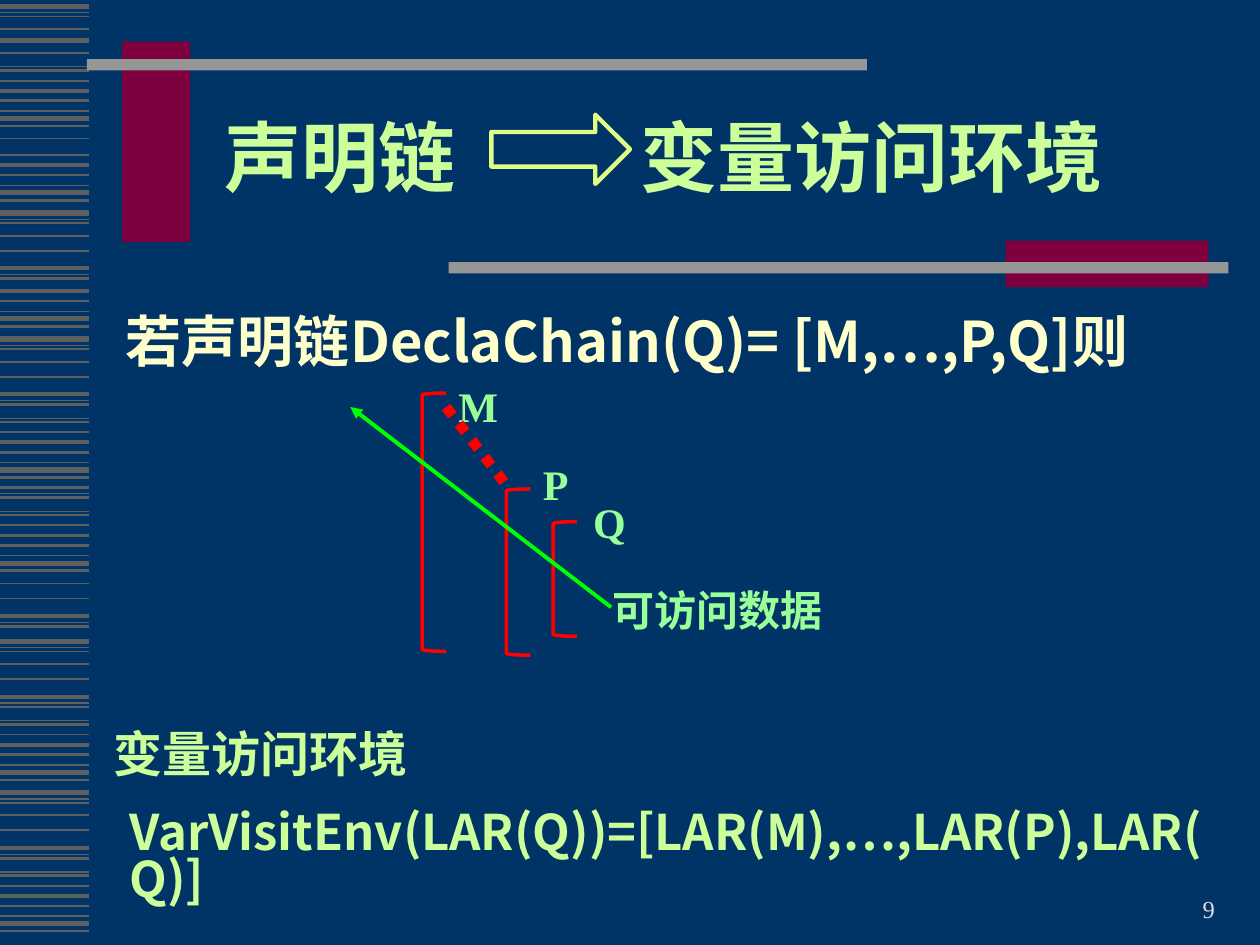
from dataclasses import dataclass

from lxml import etree
from pptx import Presentation
from pptx import util as u
from pptx.dml.color import RGBColor
from pptx.enum import dml, shapes, text
from pptx.oxml.ns import qn


@dataclass(frozen=True)
class Theme:
    background: str = "003366"
    stripe: str = "5F5F5F"
    block: str = "7E003F"
    bar: str = "969696"
    heading: str = "CCFF99"
    body: str = "FFFFCC"
    label: str = "99FF99"
    outline: str = "E0FF85"
    bracket: str = "FF0000"
    pointer: str = "00FF00"
    number: str = "DDDDDD"
    serif: str = "Times New Roman"
    sans: str = "Noto Sans CJK SC"
    title_size: int = 44
    body_size: int = 32
    result_size: int = 28
    label_size: int = 24
    number_size: int = 14


STRIPES = [
    (4.3, 1.5), (0, 3), (-4.3, 0.75), (-10.1, 1.5),
    (-15.8, 2.25), (-21.6, 1), (-27.4, 1.5), (-29.5, 0.75),
    (-37.4, 1.5), (-39.6, 0.75), (-43.2, 2.25), (-53.3, 1),
    (-61.9, 1), (-69.1, 1), (-71.3, 0.75), (-74.9, 3),
]
STRIPE_BLOCKS = [
    (527.8, 0, 16), (441.4, 0, 16), (395.3, 8, 13), (321.8, 0, 11),
    (268.6, 0, 16), (182.2, 0, 5), (196.6, 8, 16), (110.2, 0, 6),
    (141.1, 12, 13), (67.7, 0, 9), (23, 1, 2), (78.5, 12, 16),
]
SCOPES = [
    ("M", (241.2, 224.6, 13.7, 147.6), (254.9, 213.8)),
    ("P", (289.4, 279.4, 13.7, 95), (303.1, 258.5)),
    ("Q", (316.1, 298.1, 13.7, 65.5), (331.9, 280.1)),
]


class Painter:
    def __init__(self, theme, page):
        self.theme = theme
        self.page = page
        fill = page.background.fill
        fill.solid()
        fill.fore_color.rgb = RGBColor.from_string(theme.background)

    def set_words(self, box, words, size, color, font=None, bold=True,
                  align=text.PP_ALIGN.LEFT, anchor=text.MSO_ANCHOR.TOP, spacing=None):
        frame = box.text_frame
        frame.word_wrap = True
        frame.auto_size = text.MSO_AUTO_SIZE.NONE
        frame.vertical_anchor = anchor
        para = frame.paragraphs[0]
        para.alignment = align
        para.line_spacing = spacing
        span = para.add_run()
        span.text = words
        span.font.name = font or self.theme.serif
        span.font.size = u.Pt(size)
        span.font.bold = bold
        span.font.color.rgb = RGBColor.from_string(color)
        east_asian = etree.SubElement(span.font._element, qn("a:ea"))
        east_asian.set("typeface", self.theme.sans)

    def title(self, words, bounds, **style):
        box = self.page.shapes.title
        box.left, box.top, box.width, box.height = map(u.Pt, bounds)
        self.set_words(box, words, **style)

    def text(self, words, bounds, **style):
        box = self.page.shapes.add_textbox(*map(u.Pt, bounds))
        self.set_words(box, words, **style)

    def shape(self, kind, bounds, fill=None, line=None, weight=1):
        shape = self.page.shapes.add_shape(kind, *map(u.Pt, bounds))
        shape.shadow.inherit = False
        if fill:
            shape.fill.solid()
            shape.fill.fore_color.rgb = RGBColor.from_string(fill)
        else:
            shape.fill.background()
        if line:
            shape.line.color.rgb = RGBColor.from_string(line)
            shape.line.width = u.Pt(weight)
        else:
            shape.line.fill.background()

    def line(self, start, end, color, weight, dash=None, arrow=False):
        connector = self.page.shapes.add_connector(
            shapes.MSO_CONNECTOR.STRAIGHT, *map(u.Pt, start + end))
        connector.line.color.rgb = RGBColor.from_string(color)
        connector.line.width = u.Pt(weight)
        if dash:
            connector.line.dash_style = dash
        properties = connector._element.spPr
        if arrow:
            head = etree.SubElement(properties.find(qn("a:ln")), qn("a:headEnd"))
            head.set("type", "triangle")
        etree.SubElement(properties, qn("a:effectLst"))


def draw_frame(painter):
    theme = painter.theme
    for base, first, last in STRIPE_BLOCKS:
        for offset, weight in STRIPES[first:last]:
            y = base + offset
            painter.line((0, y), (51, y), theme.stripe, weight)
    rectangle = shapes.MSO_SHAPE.RECTANGLE
    painter.shape(rectangle, (69.8, 23.8, 38.9, 114.5), fill=theme.block)
    painter.shape(rectangle, (49.7, 33.8, 445.7, 6.5), fill=theme.bar)
    painter.shape(rectangle, (574.6, 137.5, 115.9, 26.6), fill=theme.block)
    painter.shape(rectangle, (256.3, 149.8, 445.7, 6.5), fill=theme.bar)
    painter.text("9", (528.5, 495.4, 172.8, 36), size=theme.number_size,
                 color=theme.number, bold=False, align=text.PP_ALIGN.RIGHT,
                 anchor=text.MSO_ANCHOR.BOTTOM)


def draw_scopes(painter):
    theme = painter.theme
    label = dict(size=theme.label_size, color=theme.label)
    for name, bracket, corner in SCOPES:
        painter.shape(shapes.MSO_SHAPE.LEFT_BRACKET, bracket,
                      line=theme.bracket, weight=2)
        painter.text(name, corner + (39.6, 36), **label)
    painter.line((254.9, 232.6), (289.4, 277.2), theme.bracket, 6,
                 dash=dml.MSO_LINE.ROUND_DOT)
    painter.line((200.2, 232.6), (349.2, 347), theme.pointer, 2.25, arrow=True)
    painter.text("可访问数据", (342.7, 330.5, 161.3, 36), **label)


def main():
    theme = Theme()
    deck = Presentation()
    deck.slide_width, deck.slide_height = u.Pt(720), u.Pt(540)
    painter = Painter(theme, deck.slides.add_slide(deck.slide_layouts[5]))
    heading = dict(color=theme.heading, align=text.PP_ALIGN.CENTER,
                   anchor=text.MSO_ANCHOR.MIDDLE, spacing=0.85)

    draw_frame(painter)
    painter.title("声明链", (108, 48.2, 172.8, 90), size=theme.title_size, **heading)
    painter.text("若声明链DeclaChain(Q)= [M,…,P,Q]则", (64.8, 179.3, 626.4, 305.3),
                 size=theme.body_size, color=theme.body, font=theme.sans, spacing=0.8)
    painter.shape(shapes.MSO_SHAPE.RIGHT_ARROW, (280.8, 65.5, 79.2, 39.6),
                  line=theme.outline, weight=2.5)
    painter.text("变量访问环境", (352.8, 48.2, 290.2, 90),
                 size=theme.title_size, **heading)
    draw_scopes(painter)
    painter.text("VarVisitEnv(LAR(Q))=[LAR(M),…,LAR(P),LAR(Q)]",
                 (67, 460.8, 640.1, 61.2), size=theme.result_size,
                 color=theme.heading, font=theme.sans, spacing=0.8)
    painter.text("变量访问环境", (3.6, 388.1, 290.2, 90),
                 size=theme.result_size, **heading)
    deck.save("out.pptx")


if __name__ == "__main__":
    main()
